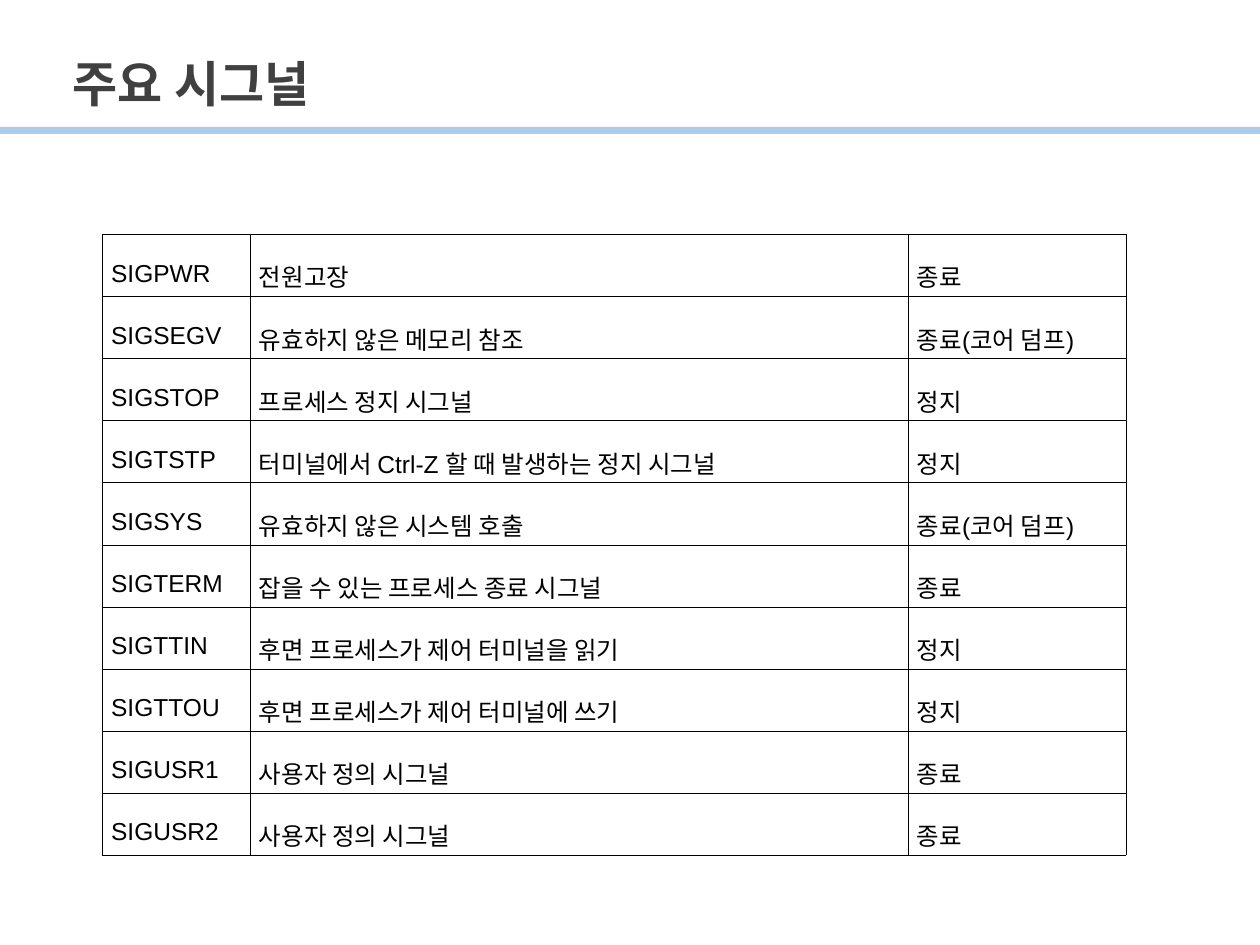
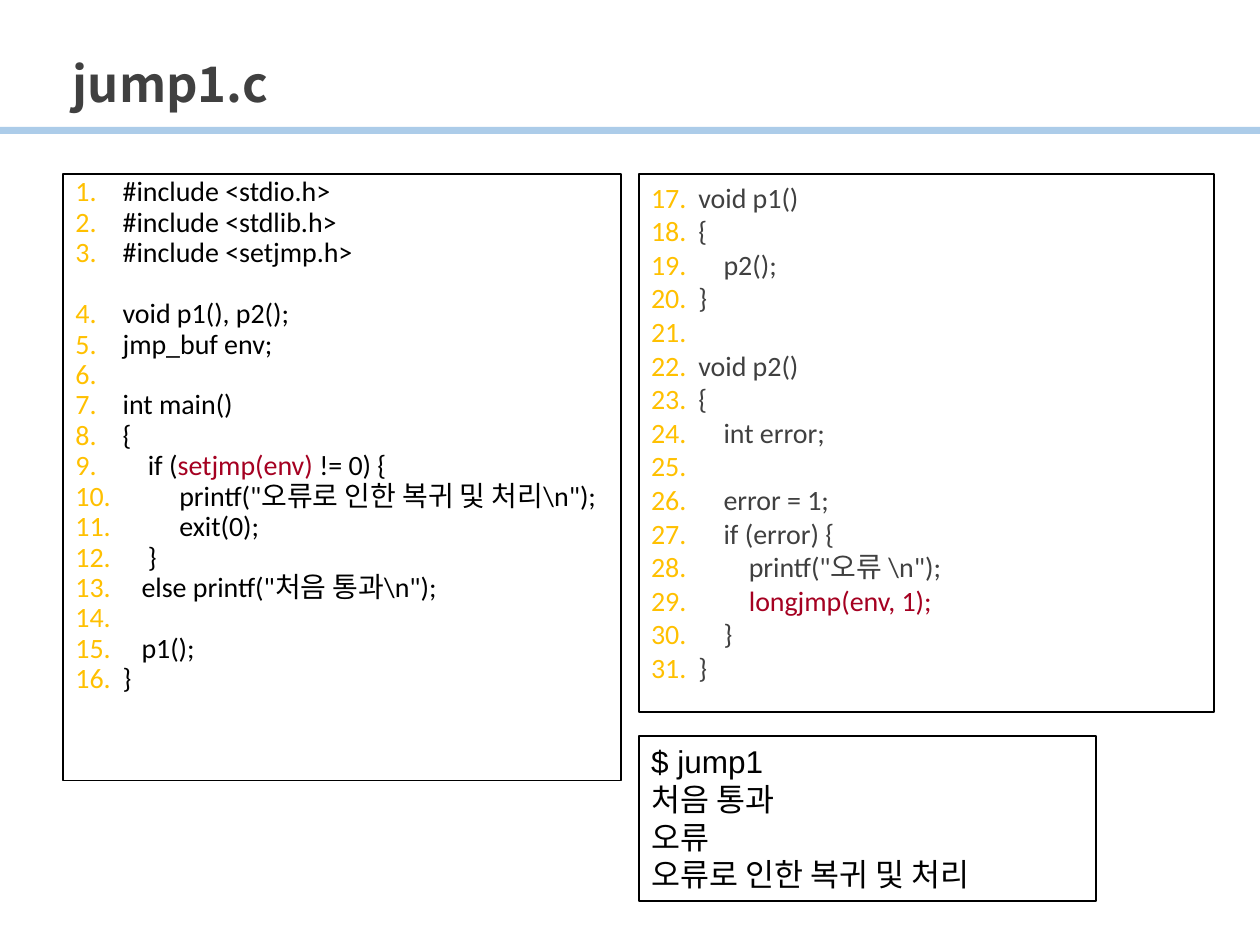
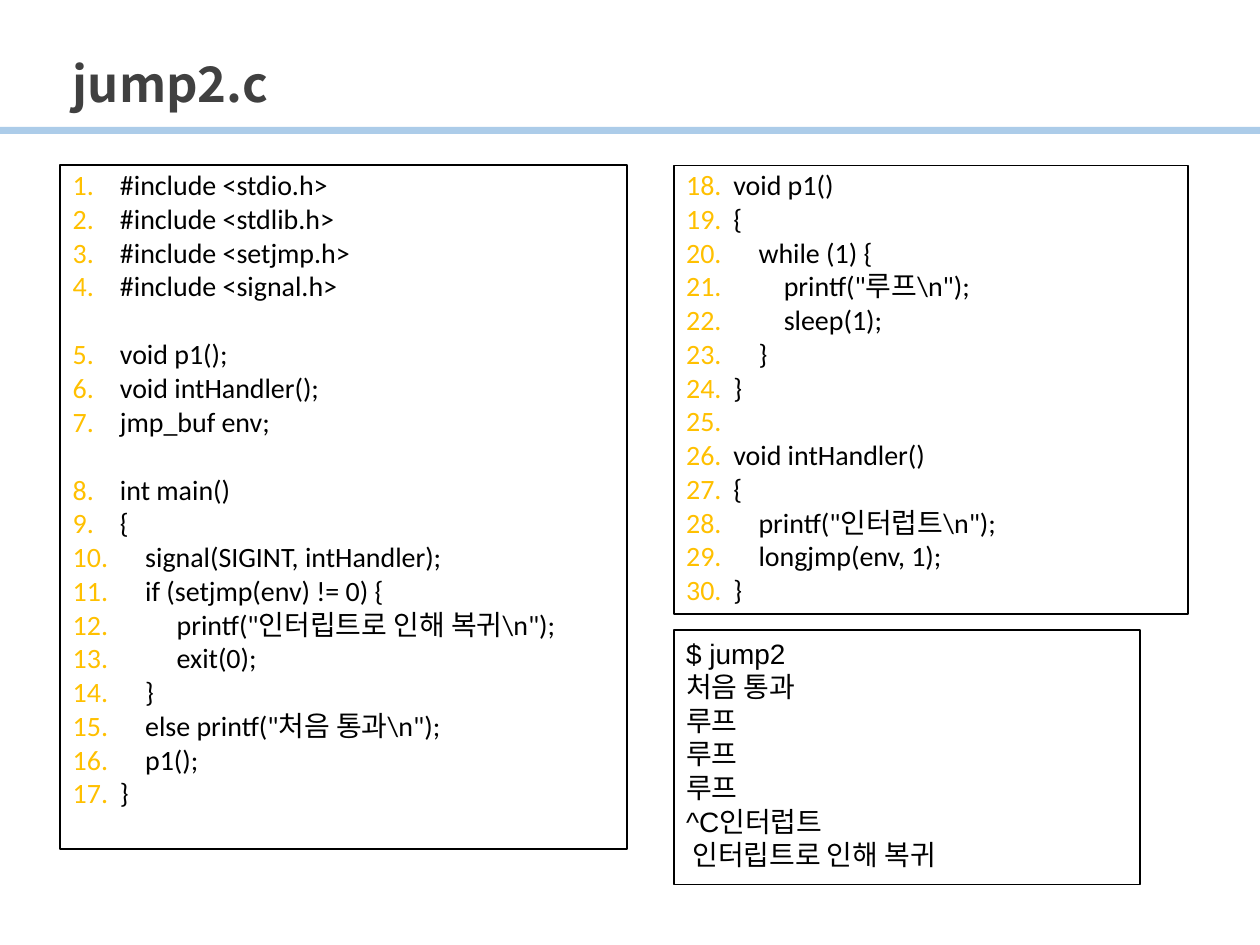
import pptx
import pptx.dml.color
import pptx.enum.shapes
import pptx.enum.text
import pptx.oxml
import pptx.oxml.ns
import pptx.util
from lxml import etree

Pt = pptx.util.Pt
RGBColor = pptx.dml.color.RGBColor
ANCHOR = pptx.enum.text.MSO_ANCHOR
ALIGN = pptx.enum.text.PP_ALIGN
qn = pptx.oxml.ns.qn

BLACK = RGBColor(0x00, 0x00, 0x00)
WHITE = RGBColor(0xFF, 0xFF, 0xFF)
GRAY = RGBColor(0x40, 0x40, 0x40)
BLUE = RGBColor(0x5B, 0x9B, 0xD5)
GOLD = RGBColor(0xFF, 0xC0, 0x00)
RED = RGBColor(0xA5, 0x00, 0x21)

KOREAN = "Noto Sans CJK KR"
TITLE_ONLY = 5
SLIDE_W, SLIDE_H = 720, 540

SIGNALS = [
    ("SIGPWR", "전원고장", "종료"),
    ("SIGSEGV", "유효하지 않은 메모리 참조", "종료(코어 덤프)"),
    ("SIGSTOP", "프로세스 정지 시그널", "정지"),
    ("SIGTSTP", "터미널에서 Ctrl-Z 할 때 발생하는 정지 시그널", "정지"),
    ("SIGSYS", "유효하지 않은 시스템 호출", "종료(코어 덤프)"),
    ("SIGTERM", "잡을 수 있는 프로세스 종료 시그널", "종료"),
    ("SIGTTIN", "후면 프로세스가 제어 터미널을 읽기", "정지"),
    ("SIGTTOU", "후면 프로세스가 제어 터미널에 쓰기", "정지"),
    ("SIGUSR1", "사용자 정의 시그널", "종료"),
    ("SIGUSR2", "사용자 정의 시그널", "종료"),
]

# A tab is a numbered empty line; None is an unnumbered gap.
JUMP1_MAIN = [
    "#include <stdio.h>",
    "#include <stdlib.h>",
    "#include <setjmp.h>",
    None,
    "void p1(), p2();",
    "jmp_buf env;",
    "\t",
    "int main()",
    "{",
    "    if (setjmp(env) != 0) {",
    r'         printf("오류로 인한 복귀 및 처리\n");',
    "         exit(0);",
    "    }",
    r'   else printf("처음 통과\n");',
    "\t",
    "   p1();",
    "}",
]
JUMP1_FUNCTIONS = [
    "void p1()",
    "{",
    "    p2();",
    "}",
    "\t",
    "void p2()",
    "{",
    "    int error;",
    "\t",
    "    error = 1;",
    "    if (error) {",
    r'        printf("오류 \n");',
    "        longjmp(env, 1);",
    "    }",
    "}",
]
JUMP1_OUTPUT = ["$ jump1", "처음 통과", "오류", "오류로 인한 복귀 및 처리"]

JUMP2_MAIN = [
    "#include <stdio.h>",
    "#include <stdlib.h>",
    "#include <setjmp.h>",
    "#include <signal.h>",
    None,
    "void p1();",
    "void intHandler();",
    "jmp_buf env;",
    None,
    "int main()",
    "{",
    "    signal(SIGINT, intHandler);",
    "    if (setjmp(env) != 0) {",
    r'         printf("인터립트로 인해 복귀\n");',
    "         exit(0);",
    "    }",
    r'    else printf("처음 통과\n");',
    "    p1();",
    "}",
]
JUMP2_FUNCTIONS = [
    "void p1()",
    "{",
    "    while (1) {",
    r'        printf("루프\n");',
    "        sleep(1);",
    "    }",
    "}",
    "\t",
    "void intHandler()",
    "{",
    r'    printf("인터럽트\n");',
    "    longjmp(env, 1);",
    "}",
]
JUMP2_OUTPUT = ["$ jump2", "처음 통과", "루프", "루프", "루프",
                "^C인터럽트", " 인터립트로 인해 복귀"]


def set_font(p, name, size, color, bold=False):
    p.font.name = name
    p.font.size = Pt(size)
    p.font.color.rgb = color
    p.font.bold = bold
    def_rpr = p._p.pPr.find(qn("a:defRPr"))
    etree.SubElement(def_rpr, qn("a:ea"), typeface=KOREAN)


def number_line(p, start):
    """Give a formatted paragraph a gold line number and a hanging indent."""
    ppr = p._p.pPr
    ppr.set("marL", str(Pt(27)))
    ppr.set("indent", str(-Pt(27)))
    def_rpr = ppr.find(qn("a:defRPr"))
    color = pptx.oxml.parse_xml(
        f'<a:buClr {pptx.oxml.ns.nsdecls("a")}><a:srgbClr val="{GOLD}"/></a:buClr>')
    number = etree.Element(qn("a:buAutoNum"), type="arabicPeriod", startAt=str(start))
    def_rpr.addprevious(color)
    def_rpr.addprevious(number)


def add_rect(s, box, fill):
    sp = s.shapes.add_shape(pptx.enum.shapes.MSO_SHAPE.RECTANGLE, *map(Pt, box))
    sp.shadow.inherit = False
    sp.fill.solid()
    sp.fill.fore_color.rgb = fill
    sp.line.fill.background()
    return sp


def add_titled_slide(prs, title):
    s = prs.slides.add_slide(prs.slide_layouts[TITLE_ONLY])
    sp = s.shapes.title
    sp.left, sp.top, sp.width, sp.height = map(Pt, (34.5, 11, 652.5, 57.5))
    tf = sp.text_frame
    tf.text = title
    tf.auto_size = pptx.enum.text.MSO_AUTO_SIZE.NONE
    tf.vertical_anchor = ANCHOR.BOTTOM
    p = tf.paragraphs[0]
    p.alignment = ALIGN.LEFT
    p.line_spacing = 0.9
    set_font(p, KOREAN, 28, GRAY, bold=True)

    band = add_rect(s, (0, 72.5, SLIDE_W, 4), BLUE)
    color = band.fill._xPr.find(qn("a:solidFill"))[0]
    etree.SubElement(color, qn("a:alpha"), val="50000")
    return s


def add_framed_text(s, box):
    sp = add_rect(s, box, WHITE)
    sp.line.color.rgb = BLACK
    sp.line.width = Pt(1)
    tf = sp.text_frame
    tf.word_wrap = True
    tf.vertical_anchor = ANCHOR.TOP
    return tf


def next_paragraph(tf):
    p = tf.paragraphs[0]
    if p.runs:
        p = tf.add_paragraph()
    p.alignment = ALIGN.LEFT
    return p


def add_code(s, box, lines, start=1, color=BLACK, spacing=0.9, before=2, highlight=None):
    """Add a numbered listing; highlight is the call to show in red."""
    tf = add_framed_text(s, box)
    gap = 0
    for line in lines:
        if line is None:
            gap = 19.5 * spacing + before
            continue
        p = next_paragraph(tf)
        p.line_spacing = spacing
        p.space_before = Pt(before + gap)
        gap = 0
        set_font(p, "Calibri", 16, color)
        number_line(p, start)
        parts = line.partition(highlight) if highlight else (line,)
        for part in filter(None, parts):
            r = p.add_run()
            r.text = part
            if part == highlight:
                r.font.color.rgb = RED


def add_output(s, box, lines, size):
    tf = add_framed_text(s, box)
    for line in lines:
        p = next_paragraph(tf)
        p.add_run().text = line
        set_font(p, "Arial", size, BLACK)


def border_cell(cell):
    tcpr = cell._tc.get_or_add_tcPr()
    for side in ("lnL", "lnR", "lnT", "lnB"):
        ln = etree.SubElement(tcpr, qn(f"a:{side}"), w=str(Pt(0.28)))
        fill = etree.SubElement(ln, qn("a:solidFill"))
        etree.SubElement(fill, qn("a:srgbClr"), val=str(BLACK))


def add_signal_table(s, rows, widths, left, top, row_height):
    frame = s.shapes.add_table(len(rows), len(widths), Pt(left), Pt(top),
                               Pt(sum(widths)), Pt(row_height * len(rows)))
    table = frame.table
    table.first_row = table.horz_banding = False
    for column, width in zip(table.columns, widths):
        column.width = Pt(width)
    for i, row in enumerate(rows):
        for j, text in enumerate(row):
            cell = table.cell(i, j)
            cell.text = text
            cell.vertical_anchor = ANCHOR.MIDDLE
            cell.margin_left = cell.margin_right = Pt(5)
            cell.margin_top = cell.margin_bottom = Pt(1.4)
            border_cell(cell)
            cell.fill.background()
            p = cell.text_frame.paragraphs[0]
            p.alignment = ALIGN.JUSTIFY if j else ALIGN.LEFT
            p.line_spacing = 1.6
            set_font(p, "Arial", 14, BLACK)


def main():
    prs = pptx.Presentation()
    prs.slide_width, prs.slide_height = Pt(SLIDE_W), Pt(SLIDE_H)

    s = add_titled_slide(prs, "주요 시그널")
    add_signal_table(s, SIGNALS, (84.5, 376, 124.5), left=58.5, top=134, row_height=29.5)

    s = add_titled_slide(prs, "jump1.c")
    add_code(s, (36, 99.5, 319, 346.5), JUMP1_MAIN, spacing=0.8, highlight="setjmp(env)")
    add_code(s, (365, 99.5, 329, 307.5), JUMP1_FUNCTIONS, start=17, color=GRAY,
             spacing=1, before=0, highlight="longjmp(env, 1);")
    add_output(s, (365, 420.5, 261.5, 94.5), JUMP1_OUTPUT, size=18)

    s = add_titled_slide(prs, "jump2.c")
    add_code(s, (34.5, 94.5, 324, 390.5), JUMP2_MAIN)
    add_code(s, (385, 94.5, 294, 256.5), JUMP2_FUNCTIONS, start=18)
    add_output(s, (385, 360, 266.5, 145.5), JUMP2_OUTPUT, size=16)

    prs.save("out.pptx")


if __name__ == "__main__":
    main()
